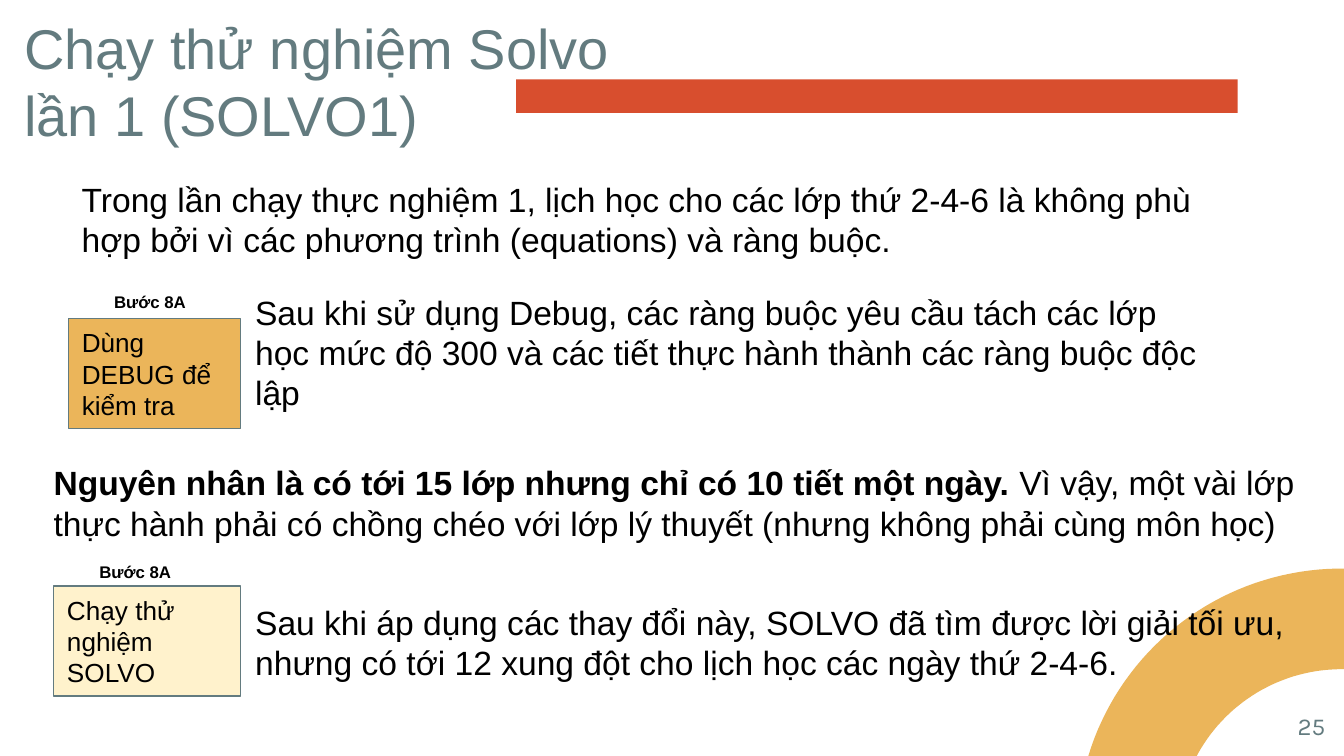
import math

from pptx import Presentation, util as u
from pptx.dml.color import RGBColor
from pptx.enum import shapes, text

COLORS = {"amber": "EBB55A", "red": "D84E2E", "slate": "637B7F",
          "cream": "FFF2CC", "black": "000000"}
CELL = 0.1  # inches per grid column and row
COLUMNS, ROWS = 100, 56.25


def grid(*cells):
    return [u.Inches(cell * CELL) for cell in cells]


def color(name):
    return RGBColor.from_string(COLORS[name])


def paint(shape, fill, line=None):
    shape.shadow.inherit = False
    shape.fill.solid()
    shape.fill.fore_color.rgb = color(fill)
    if line:
        shape.line.color.rgb = color(line)
        shape.line.width = u.Pt(0.75)
    else:
        shape.line.fill.background()


def write(shape, paragraphs, size, tint="black", font="Arial",
          align=text.PP_ALIGN.LEFT, anchor=text.MSO_ANCHOR.TOP):
    """Fill a shape; each paragraph is a list of (words, bold) runs."""
    frame = shape.text_frame
    frame.word_wrap = True
    frame.auto_size = text.MSO_AUTO_SIZE.NONE
    frame.vertical_anchor = anchor
    frame.margin_left = frame.margin_right = u.Inches(0.1)
    frame.margin_top = frame.margin_bottom = u.Inches(0.1)
    for index, runs in enumerate(paragraphs):
        paragraph = frame.add_paragraph() if index else frame.paragraphs[0]
        paragraph.alignment = align
        for words, bold in runs:
            run = paragraph.add_run()
            run.text = words
            run.font.name, run.font.size, run.font.bold = font, u.Pt(size), bold
            run.font.color.rgb = color(tint)


def add_text(slide, box, paragraphs, size=18, **style):
    write(slide.shapes.add_textbox(*grid(*box)), paragraphs, size, **style)


def add_rectangle(slide, box, fill, line=None):
    shape = slide.shapes.add_shape(shapes.MSO_SHAPE.RECTANGLE, *grid(*box))
    paint(shape, fill, line)
    return shape


def add_quarter_ring(slide, box, inner_share, rotation):
    """Quarter ring centred on the lower right corner of its box."""
    left, top, width, height = grid(*box)
    points = []
    for share, angles in ((1, range(180, 271, 2)), (inner_share, range(270, 179, -2))):
        for angle in map(math.radians, angles):
            points.append((left + width * (1 + share * math.cos(angle)),
                           top + height * (1 + share * math.sin(angle))))
    builder = slide.shapes.build_freeform(*points[0])
    builder.add_line_segments(points[1:], close=True)
    ring = builder.convert_to_shape()
    ring.rotation = rotation
    paint(ring, "amber")


def add_title(slide, box, words):
    title = slide.shapes.title
    title.left, title.top, title.width, title.height = grid(*box)
    write(title, [[(words, False)]], 30, tint="slate")


def add_step(slide, box, card_box, fill, caption, note_top, note):
    """Step label over a caption card, with a note beside it."""
    left, top, width, height = box
    card_top, card_width = card_box
    card = add_rectangle(slide, (left, top + card_top, card_width, height - card_top),
                         fill, "slate")
    write(card, [[(caption, False)]], 14, anchor=text.MSO_ANCHOR.MIDDLE)
    add_text(slide, (left + 2.4, top, 8.1, 2.3), [[("Bước 8A", True)]], size=9)
    add_text(slide, (left + card_width + 0.1, top + note_top,
                     width - card_width - 0.1, height - note_top),
             [[(line, False)] for line in note])


def main():
    presentation = Presentation()
    presentation.slide_width, presentation.slide_height = grid(COLUMNS, ROWS)
    slide = presentation.slides.add_slide(presentation.slide_layouts[5])

    # Decoration and title
    add_quarter_ring(slide, (83, 40.1, 19.7, 19.7), 0.62, 15)
    add_rectangle(slide, (38.4, 5.9, 53.7, 2.5), "red")
    add_title(slide, (0.8, 0, 47.8, 11.8), "Chạy thử nghiệm Solvo lần 1 (SOLVO1)")

    # Introduction and first step
    add_text(slide, (5.1, 12.3, 87.4, 6.8), [[(
        "Trong lần chạy thực nghiệm 1, lịch học cho các lớp thứ 2-4-6 là không phù "
        "hợp bởi vì các phương trình (equations) và ràng buộc.", False)]])
    add_step(slide, (5.1, 20.7, 85.9, 11.2), (3, 12.8), "amber",
             "Dùng DEBUG để kiểm tra", 0,
             ["Sau khi sử dụng Debug, các ràng buộc yêu cầu tách các lớp học mức độ 300 "
              "và các tiết thực hành thành các ràng buộc độc lập"])

    # Cause and second step
    add_text(slide, (3, 33.4, 94.8, 7.8), [[
        ("Nguyên nhân là có tới 15 lớp nhưng chỉ có 10 tiết một ngày. ", True),
        ("Vì vậy, một vài lớp thực hành phải có chồng chéo với lớp lý thuyết "
         "(nhưng không phải cùng môn học)", False)]])
    add_step(slide, (4, 40.8, 98.5, 11), (2.8, 13.9), "cream",
             "Chạy thử nghiệm SOLVO", 3,
             ["Sau khi áp dụng các thay đổi này, SOLVO đã tìm được lời giải tối ưu,",
              "nhưng có tới 12 xung đột cho lịch học các ngày thứ 2-4-6."])

    # Page number
    add_text(slide, (93.6, 51.9, 6, 4.3), [[("25", False)]], size=13, tint="slate",
             font="Karla", align=text.PP_ALIGN.RIGHT)

    presentation.save("out.pptx")


if __name__ == "__main__":
    main()
